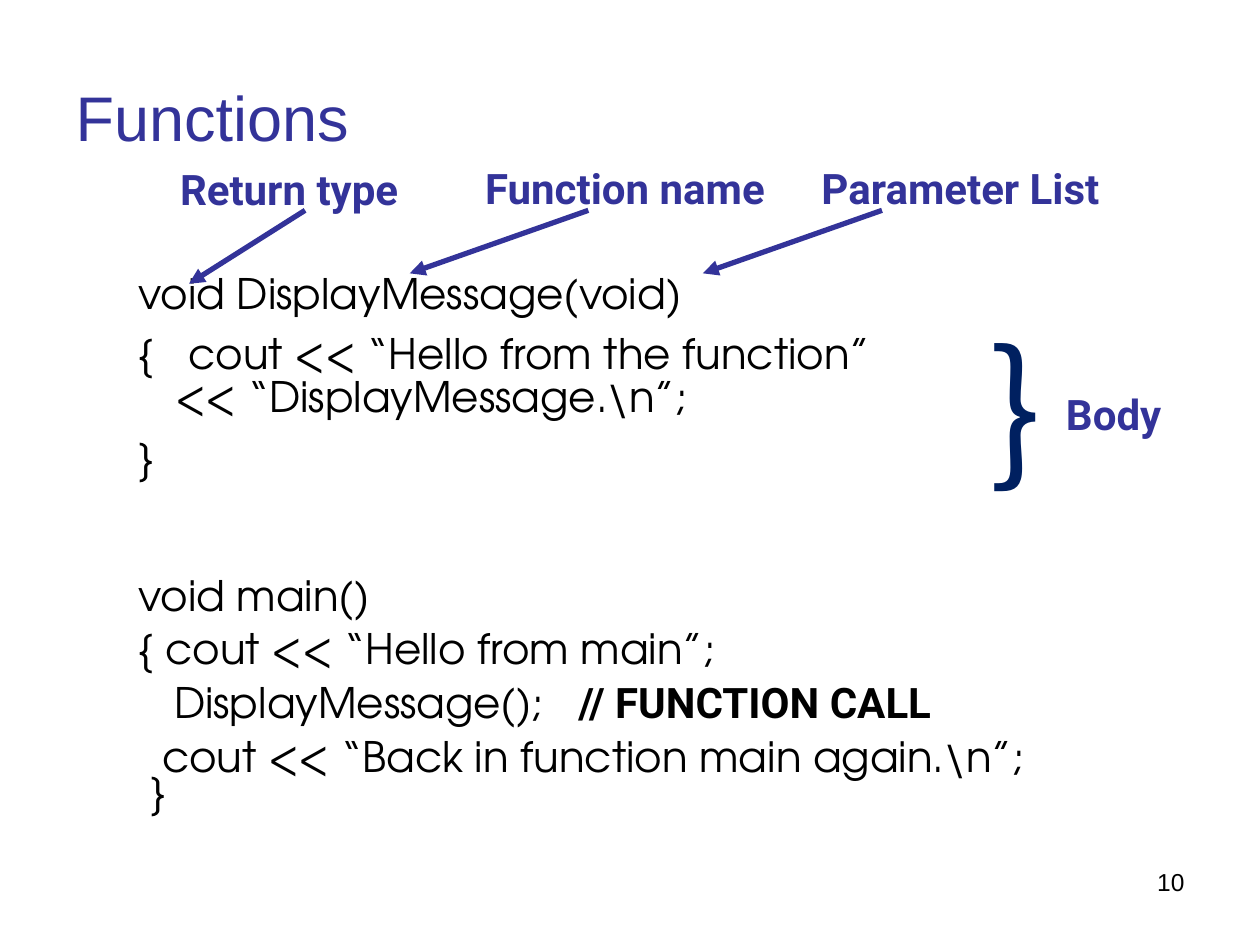
import pptx
import pptx.dml.color
import pptx.enum.shapes
import pptx.enum.text
import pptx.oxml
import pptx.util
from lxml import etree

Cm = pptx.util.Cm
Pt = pptx.util.Pt
ALIGN = pptx.enum.text.PP_ALIGN
FIT = pptx.enum.text.MSO_AUTO_SIZE

INDIGO, NAVY, BLACK = "333399", "002060", "000000"
CODE = {"name": "TeX Gyre Adventor", "size": Pt(24), "bold": False}
LABEL = {"name": "Roboto", "size": Pt(24), "bold": True}
BRACE = {"name": "Noto Sans CJK JP", "size": Pt(88)}
NUMBER = {"name": "Arial", "size": Pt(14)}
TITLE = {"name": "Arial", "size": Pt(36), "bold": False}

# Code boxes: position (left, top, width, height in cm), then lines as
# (spans, line spacing, left margin in cm, first-line indent in cm)
CODE_BOXES = [
    ((2.54, 5.51, 18.85, 4.34), [
        ([("void DisplayMessage(void)", CODE)], 0.75, 0, 0),
        ([("{   cout << “Hello from the function”\v<< “DisplayMessage.\\n”;", CODE)],
         0.85, 0.74, -0.74),
        ([("}", CODE)], 0.85, 0, 0),
    ]),
    ((2.54, 11.63, 21.39, 4.93), [
        ([("void main()", CODE)], 0.7, 0, 0),
        ([("{ cout << “Hello from main”;", CODE)], 0.7, 0, 0),
        ([("DisplayMessage();   ", CODE), ("// FUNCTION CALL", LABEL)], 0.7, 0.72, 0),
        ([("cout << “Back in function main again.\\n”;\v}", CODE)], 0.7, 0.24, 0.24),
    ]),
]

# Text, position, left margin in cm
LABELS = [
    ("Return type", (3.38, 3.18, 6.55, 1.27), 0),
    ("Function name", (9.53, 3.15, 6.55, 2.29), 0),
    ("Parameter List", (16.31, 3.15, 6.99, 1.27), 0),
    ("Body", (20.52, 7.7, 3.4, 1.27), 0.72),
]

# Start x, y and end x, y in cm
ARROWS = [
    (6.15, 4.24, 3.81, 5.72),
    (11.86, 4.24, 8.26, 5.51),
    (17.78, 4.24, 14.17, 5.51),
]


def colour(hex_text):
    return pptx.dml.color.RGBColor.from_string(hex_text)


def set_all(target, values):
    for name, value in values.items():
        setattr(target, name, value)


def add_span(para, text, font, hex_text):
    """Add text to a paragraph; a vertical tab in it becomes a line break."""
    for index, piece in enumerate(text.split("\v")):
        if index:
            para.add_line_break()
        span = para.add_run()
        span.text = piece
        set_all(span.font, font)
        span.font.color.rgb = colour(hex_text)


def add_box(slide, place, lines, hex_text, space_before=0, align=ALIGN.LEFT, fit=FIT.SHAPE_TO_FIT_TEXT):
    box = slide.shapes.add_textbox(*map(Cm, place))
    set_all(box.text_frame, {"word_wrap": True, "auto_size": fit})
    for index, (spans, spacing, margin, indent) in enumerate(lines):
        para = box.text_frame.add_paragraph() if index else box.text_frame.paragraphs[0]
        set_all(para, {"line_spacing": spacing, "space_before": Pt(space_before), "alignment": align})
        properties = para._p.get_or_add_pPr()
        properties.set("marL", str(Cm(margin)))
        properties.set("indent", str(Cm(indent)))
        for text, font in spans:
            add_span(para, text, font, hex_text)


def add_arrow(slide, ends):
    arrow = slide.shapes.add_connector(pptx.enum.shapes.MSO_CONNECTOR.STRAIGHT, *map(Cm, ends))
    arrow.line.width = Pt(3)
    arrow.line.color.rgb = colour(INDIGO)
    etree.SubElement(arrow.line._get_or_add_ln(), pptx.oxml.ns.qn("a:tailEnd"), type="triangle")
    etree.SubElement(arrow._element.spPr, pptx.oxml.ns.qn("a:effectLst"))


def main():
    deck = pptx.Presentation()
    set_all(deck, {"slide_width": Cm(25.4), "slide_height": Cm(19.05)})
    page = deck.slides.add_slide(deck.slide_layouts[5])

    title = page.shapes.title
    set_all(title, dict(zip(("left", "top", "width", "height"), map(Cm, (1.27, 0.76, 22.86, 3.18)))))
    title.text_frame.vertical_anchor = pptx.enum.text.MSO_ANCHOR.MIDDLE
    heading = title.text_frame.paragraphs[0]
    heading.alignment = ALIGN.LEFT
    add_span(heading, "Functions", TITLE, INDIGO)

    for place, lines in CODE_BOXES:
        add_box(page, place, lines, BLACK, space_before=10.5)
    for text, place, margin in LABELS:
        add_box(page, place, [([(text, LABEL)], 1.0, margin, 0)], INDIGO, space_before=15)
    for ends in ARROWS:
        add_arrow(page, ends)
    add_box(page, (19.69, 6.15, 2.34, 3.99), [([("}", BRACE)], 1.0, 0, 0)], NAVY)
    add_box(page, (18.21, 17.35, 5.92, 1.32), [([("10", NUMBER)], 1.0, 0, 0)], BLACK,
            align=ALIGN.RIGHT, fit=FIT.NONE)
    deck.save("out.pptx")


if __name__ == "__main__":
    main()
